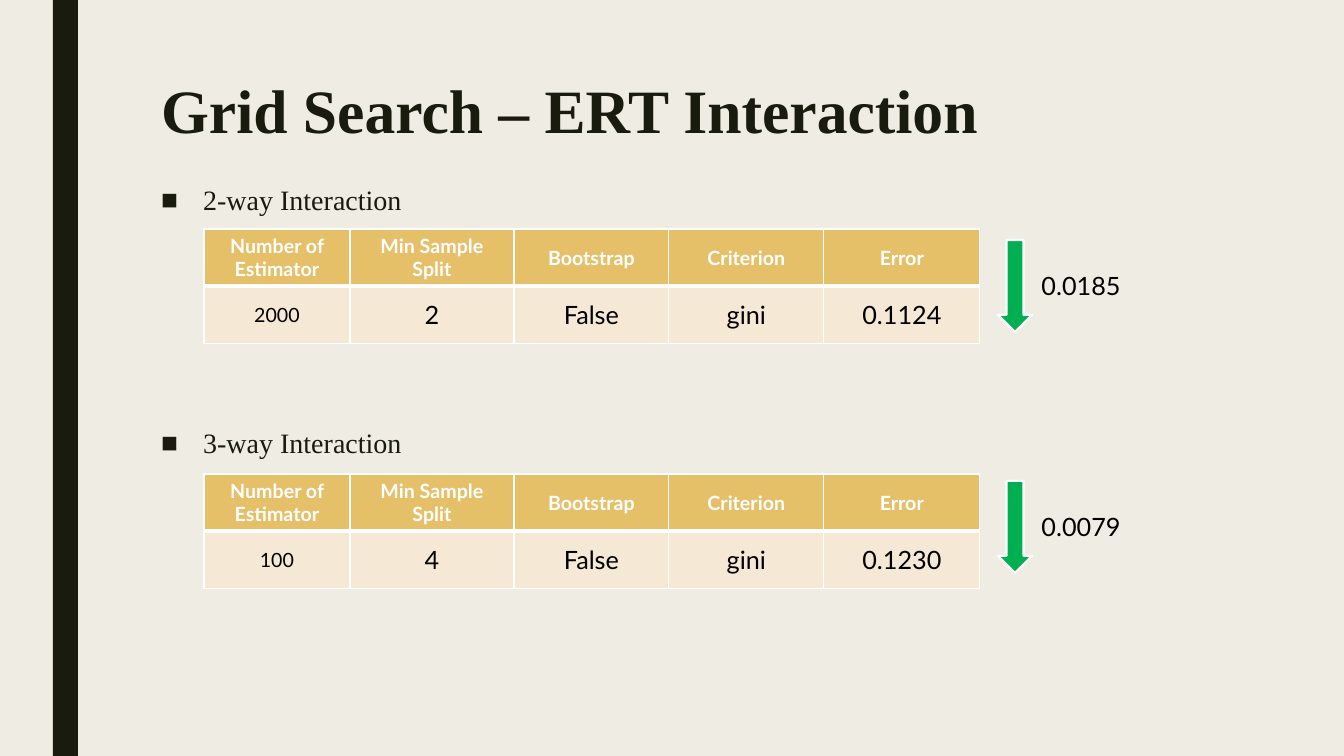
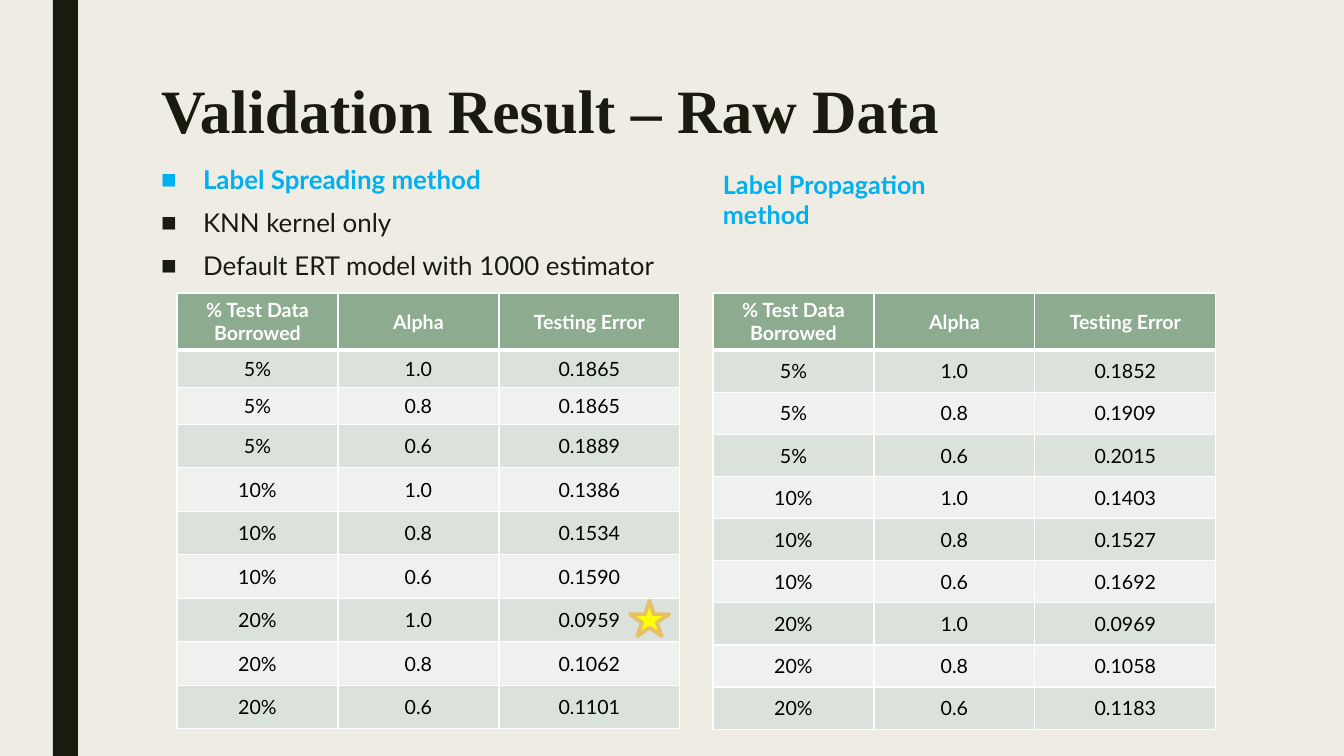
from dataclasses import dataclass

from lxml.etree import SubElement as Sub
from pptx import Presentation
from pptx.dml.color import RGBColor as Color
from pptx.enum.shapes import MSO_SHAPE as Shape
from pptx.enum.text import MSO_ANCHOR as Anchor, MSO_AUTO_SIZE as Auto, PP_ALIGN as Align
from pptx.oxml.ns import qn
from pptx.util import Pt

SCALE = 12192000 / 1344


@dataclass(frozen=True)
class Theme:
    paper: str = "EFEDE3"
    ink: str = "191B0E"
    black: str = "000000"
    white: str = "FFFFFF"
    gold: str = "E6C069"
    cream: str = "F5E8D4"
    sage: str = "8DAB8E"
    mist: str = "DBE2DB"
    pale: str = "EEF1EE"
    sky: str = "00B0F0"
    green: str = "00B050"
    yellow: str = "FFFF00"
    serif: str = "Times New Roman"
    sans: str = "Lato"
    title: float = 44
    list: float = 20
    note: float = 18.5
    large: float = 18
    small: float = 14


T = Theme()
GRID_HEAD = ["Number of Estimator", "Min Sample Split", "Bootstrap", "Criterion", "Error"]
TEST_HEAD = ["% Test Data Borrowed", "Alpha", "Testing Error"]
SHARES = ["5%", "10%", "20%"]
ALPHAS = ["1.0", "0.8", "0.6"]
SPREAD = ["0.1865", "0.1865", "0.1889", "0.1386", "0.1534", "0.1590",
          "0.0959", "0.1062", "0.1101"]
PROPS = ["0.1852", "0.1909", "0.2015", "0.1403", "0.1527", "0.1692",
         "0.0969", "0.1058", "0.1183"]


def px(n):
    return round(n * SCALE)


def style(item, **values):
    for name, value in values.items():
        setattr(item, name, value)


def place(item, box):
    style(item, **dict(zip(("left", "top", "width", "height"), map(px, box))))


def write(para, text, size, color, face=T.sans, bold=False, **layout):
    style(para, **layout)
    run = para.add_run()
    run.text = text
    style(run.font, size=Pt(size), name=face, bold=bold)
    run.font.color.rgb = Color.from_string(color)


def paint(item, color):
    item.fill.solid()
    item.fill.fore_color.rgb = Color.from_string(color)


def draw(slide, kind, box, fill, line=None, weight=0):
    shape = slide.shapes.add_shape(kind, *map(px, box))
    shape.shadow.inherit = False
    paint(shape, fill)
    if line:
        shape.line.color.rgb = Color.from_string(line)
        shape.line.width = Pt(weight)
    else:
        shape.line.fill.background()
    return shape


def label(slide, box, text, size, color, wrap=True, **form):
    frame = slide.shapes.add_textbox(*map(px, box)).text_frame
    frame.word_wrap = wrap
    write(frame.paragraphs[0], text, size, color, **form)


def edge(cell, thick):
    props = cell._tc.get_or_add_tcPr()
    for spot, side in enumerate("LRTB"):
        line = props.makeelement(qn("a:ln" + side), {"w": str(Pt(3 if side == thick else 1))})
        Sub(Sub(line, qn("a:solidFill")), qn("a:srgbClr"), val=T.white)
        props.insert(spot, line)


def bullet(para):
    props = para._p.get_or_add_pPr()
    props.set("marL", str(px(42)))
    props.set("indent", str(-px(42)))
    Sub(props, qn("a:buFont"), typeface=T.serif)
    Sub(props, qn("a:buChar"), char="■")


def table(slide, box, cols, highs, rows, head, bands, sizes):
    grid = slide.shapes.add_table(len(rows), len(cols), *map(px, box)).table
    rest = (box[3] - sum(highs)) / max(1, len(rows) - len(highs))
    for col, wide in zip(grid.columns, cols):
        col.width = px(wide)
    for r, row in enumerate(rows):
        grid.rows[r].height = px(highs[r] if r < len(highs) else rest)
        for c, text in enumerate(row):
            cell = grid.cell(r, c)
            cell.vertical_anchor = Anchor.MIDDLE
            paint(cell, bands[(r - 1) % len(bands)] if r else head)
            edge(cell, {0: "B", 1: "T"}.get(r))
            write(cell.text_frame.paragraphs[0], text, sizes[c] if r else T.small,
                  T.black if r else T.white, bold=not r, alignment=Align.CENTER)


def body(slide, box, items, spacing, gap, size, face):
    holder = slide.placeholders[1]
    place(holder, box)
    frame = holder.text_frame
    style(frame, auto_size=Auto.NONE, vertical_anchor=Anchor.TOP)
    for n, (text, color, bold) in enumerate(items):
        para = frame.add_paragraph() if n else frame.paragraphs[0]
        bullet(para)
        write(para, text, size, color, face, bold, line_spacing=spacing,
              space_before=Pt(gap if n else 0), space_after=Pt(2))


def page(deck, title):
    slide = deck.slides.add_slide(deck.slide_layouts[1])
    frame = slide.shapes.title.text_frame
    style(frame, auto_size=Auto.NONE, vertical_anchor=Anchor.TOP)
    write(frame.paragraphs[0], title, T.title, T.ink, T.serif, True,
          alignment=Align.LEFT, line_spacing=0.89)
    return slide


def master(deck, slide):
    base = deck.slide_master
    paint(base.background, T.paper)
    place(base.placeholders[0], (151, 76, 1058, 105))
    bar = draw(slide, Shape.RECTANGLE, (53, 0, 25, 756), T.ink)
    base.shapes.element.insert(2, bar.element)


def search(slide, box, values, drop, shift):
    left, top, wide, high = box
    table(slide, box, [146, 164, 155, 155, 156], [56, 57], [GRID_HEAD, values],
          T.gold, [T.cream], [T.small] + [T.large] * 4)
    side = left + wide + 18
    draw(slide, Shape.DOWN_ARROW, (side, top + shift, 34, 92), T.green, T.white, 1.5)
    label(slide, (side + 33, top + shift + 25, 100, 40), drop, T.large, T.black,
          wrap=False, alignment=Align.CENTER)


def result(slide, box, errors, highs):
    keys = [(share, alpha) for share in SHARES for alpha in ALPHAS]
    rows = [TEST_HEAD] + [[*key, error] for key, error in zip(keys, errors)]
    table(slide, box, [161, 161, 181], highs, rows, T.sage, [T.mist, T.pale], [T.small] * 3)


def grids(deck):
    slide = page(deck, "Grid Search – ERT Interaction")
    master(deck, slide)
    items = [(f"{n}-way Interaction", T.ink, False) for n in (2, 3)]
    body(slide, (151, 180, 1058, 515), items, 0.94, 149, T.list, T.serif)
    search(slide, (204, 229, 776, 113), ["2000", "2", "False", "gini", "0.1124"], "0.0185", 11)
    search(slide, (204, 474, 776, 113), ["100", "4", "False", "gini", "0.1230"], "0.0079", 7)


def tests(deck):
    slide = page(deck, "Validation Result – Raw Data")
    items = [("Label Spreading method", T.sky, True), ("KNN kernel only", T.ink, False),
             ("Default ERT model with 1000 estimator", T.ink, False)]
    body(slide, (151, 164, 562, 129), items, 0.84, 10, T.note, T.sans)
    result(slide, (177, 293, 503, 436), SPREAD, [57, 37, 37])
    result(slide, (713, 293, 503, 436), PROPS, [57])
    draw(slide, Shape.STAR_5_POINT, (630, 601, 39, 35), T.yellow, T.gold, 2.75)
    label(slide, (713, 164, 303, 40), "Label Propagation method", T.large, T.sky, bold=True)


def main():
    deck = Presentation()
    style(deck, slide_width=px(1344), slide_height=px(756))
    grids(deck)
    tests(deck)
    deck.save("out.pptx")


if __name__ == "__main__":
    main()
